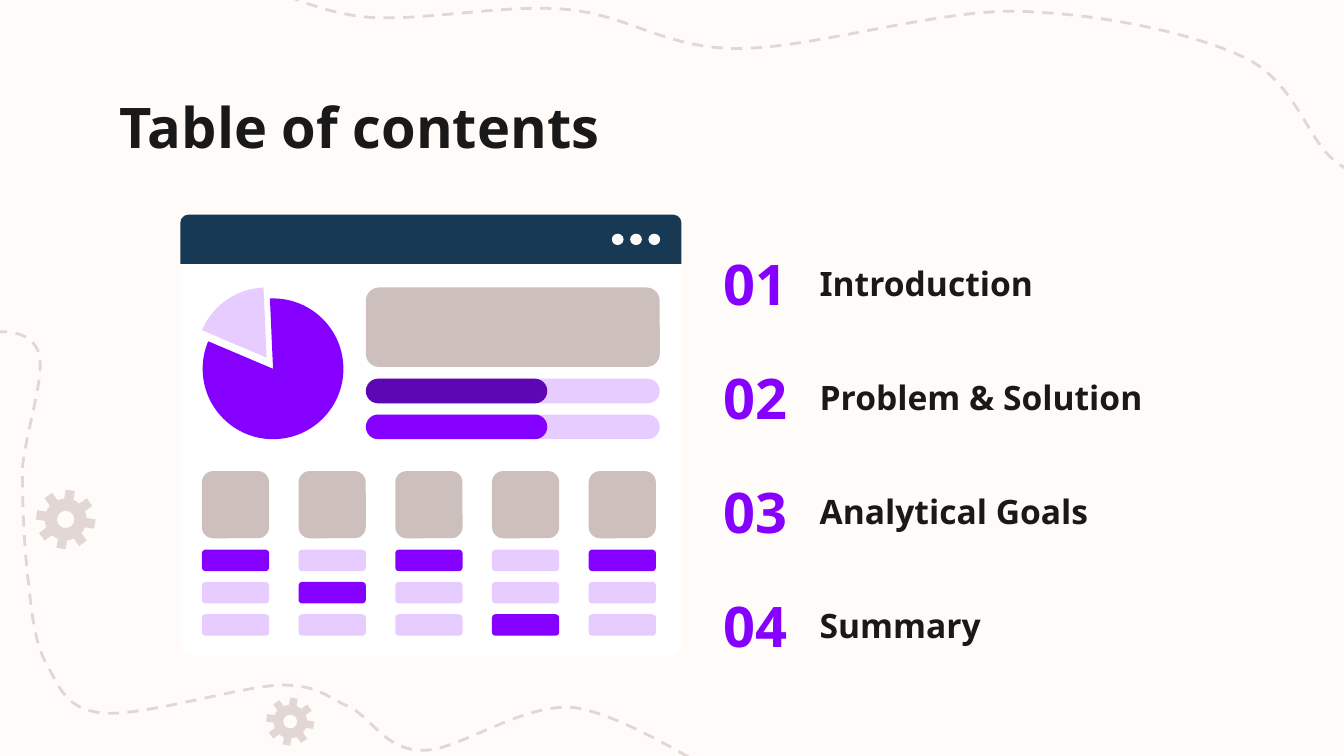
from math import ceil, cos, floor, radians, sin, tan

from lxml import etree
from pptx import Presentation
from pptx.dml.color import RGBColor
from pptx.enum.dml import MSO_LINE
from pptx.enum.shapes import MSO_SHAPE
from pptx.enum.text import MSO_ANCHOR, MSO_AUTO_SIZE, PP_ALIGN
from pptx.oxml.ns import qn
from pptx.util import Pt

ROUNDED = MSO_SHAPE.ROUNDED_RECTANGLE
ROUNDED_PAIR = MSO_SHAPE.ROUND_2_SAME_RECTANGLE
OVAL = MSO_SHAPE.OVAL
DASH = MSO_LINE.DASH
TOP, MIDDLE = MSO_ANCHOR.TOP, MSO_ANCHOR.MIDDLE
LEFT, CENTER = PP_ALIGN.LEFT, PP_ALIGN.CENTER
NO_AUTOFIT = MSO_AUTO_SIZE.NONE

FONT = "Noto Sans"
CREAM, WHITE, INK, NAVY = "FFFBF9", "FFFFFF", "191919", "173953"
PURPLE, DARK_PURPLE = "8500FF", "5D06B4"
TAUPE, PALE_TAUPE = "CDBFBC", "E3D7D5"
TINT = 20

CONTENTS = ["Introduction", "Problem & Solution", "Analytical Goals", "Summary"]
# Highlighted columns in each row of small bars
HIGHLIGHTS = [{0, 2, 4}, {1}, {3}]

# Start point, then two control points and an end point for each curve
LOWER_TRAIL = [
    (-38, 228), (-37, 226), (-38, 229), (-35, 221), (-30, 213), (-16, 184), (-6, 179),
    (3, 176), (18, 178), (21, 190), (24, 202), (14, 231), (12, 251),
    (12, 271), (13, 292), (15, 310), (17, 327), (18, 343), (25, 356),
    (32, 368), (35, 380), (55, 382), (76, 384), (128, 368), (150, 367),
    (172, 367), (175, 374), (188, 379), (201, 387), (207, 402), (227, 402),
    (246, 402), (279, 377), (307, 379), (336, 383), (381, 414), (395, 420),
]
UPPER_TRAIL = [
    (135, -10), (145, -7), (167, 6), (195, 9), (223, 12), (270, 2), (303, 5),
    (337, 8), (356, 26), (395, 26), (435, 26), (498, 6), (543, 6),
    (588, 7), (636, 17), (665, 30), (694, 43), (700, 75), (715, 86),
    (730, 99), (750, 99), (757, 102),
]


def color(value):
    return RGBColor.from_string(value)


def paint(shape, fill, opacity=100):
    """Give a shape a flat fill, without line or shadow."""
    shape.shadow.inherit = False
    shape.line.fill.background()
    shape.fill.solid()
    shape.fill.fore_color.rgb = color(fill)
    if opacity < 100:
        fill_color = shape.fill._xPr.find(qn("a:solidFill"))[0]
        etree.SubElement(fill_color, qn("a:alpha"), val=str(opacity * 1000))


def add_block(slide, kind, box, fill, opacity=100, adjustments=()):
    shape = slide.shapes.add_shape(kind, *map(Pt, box))
    for index, value in enumerate(adjustments):
        shape.adjustments[index] = value
    paint(shape, fill, opacity)


def add_outline(slide, contours, close=True):
    """Build a freeform; a segment of one point is a line, of three a curve."""
    builder = None
    for start, segments in contours:
        if builder is None:
            builder = slide.shapes.build_freeform(*map(Pt, start))
        else:
            builder.move_to(*map(Pt, start))
        points = [tuple(map(Pt, point)) for segment in segments for point in segment]
        builder.add_line_segments(points, close=close)
    shape = builder.convert_to_shape()

    outline = next(shape.element.iter(qn("a:path")))
    lines = iter(outline.findall(qn("a:lnTo")))
    for _, segments in contours:
        for segment in segments:
            parts = [next(lines) for _ in segment]
            if len(parts) == 3:
                curve = outline.makeelement(qn("a:cubicBezTo"))
                parts[0].addprevious(curve)
                for part in parts:
                    curve.append(part[0])
                    outline.remove(part)
    return shape


def arc(x, y, radius, start, end):
    """Return the first point and the curves of an arc, split at the axes."""
    def polar(angle, along=0):
        turn = radians(angle)
        return (x + radius * (cos(turn) - along * sin(turn)),
                y + radius * (sin(turn) + along * cos(turn)))

    axes = [90 * k for k in range(ceil(start / 90), floor(end / 90) + 1)]
    stops = sorted({start, *axes, end})
    curves = []
    for a, b in zip(stops, stops[1:]):
        reach = 4 / 3 * tan(radians(b - a) / 4)
        curves.append([polar(a, reach), polar(b, -reach), polar(b)])
    return polar(start), curves


def add_trail(slide, nodes):
    curves = [nodes[index:index + 3] for index in range(1, len(nodes), 3)]
    trail = add_outline(slide, [(nodes[0], curves)], close=False)
    trail.shadow.inherit = False
    trail.fill.background()
    trail.line.color.rgb = color(PALE_TAUPE)
    trail.line.width = Pt(1.5)
    trail.line.dash_style = DASH


def add_gear(slide, x, y, radius, teeth=8, tilt=9):
    pitch = 360 / teeth
    rim = []
    for tooth in range(teeth):
        angle = tooth * pitch + tilt
        for tip in (angle - 9, angle + 9):
            rim.append([arc(x, y, radius, tip, tip)[0]])
        root, curves = arc(x, y, radius * 0.7, angle + 13, angle + pitch - 13)
        rim += [[root], *curves]
    hole = arc(x, y, radius * 0.29, 0, 360)
    paint(add_outline(slide, [(rim[0][0], rim[1:]), hole]), PALE_TAUPE)


def add_wedge(slide, x, y, radius, start, end, opacity=100):
    first, curves = arc(x, y, radius, start, end)
    wedge = add_outline(slide, [((x, y), [[first], *curves])])
    paint(wedge, PURPLE, opacity)


def write(shape, text, size, fill, alignment=LEFT, anchor=TOP):
    frame = shape.text_frame
    frame.word_wrap = True
    frame.auto_size = NO_AUTOFIT
    frame.vertical_anchor = anchor
    frame.margin_left = frame.margin_right = Pt(7.2)
    frame.margin_top = frame.margin_bottom = Pt(7.2)
    paragraph = frame.paragraphs[0]
    paragraph.alignment = alignment
    run = paragraph.add_run()
    run.text = text
    run.font.name = FONT
    run.font.size = Pt(size)
    run.font.bold = True
    run.font.color.rgb = color(fill)


def add_title(slide, box, text):
    title = slide.shapes.title
    title.left, title.top, title.width, title.height = map(Pt, box)
    write(title, text, 30, INK)


def add_contents(slide, left, top, width, pitch):
    number_width, height = 54.7, 36
    for index, name in enumerate(CONTENTS):
        y = top + index * pitch
        number = slide.shapes.add_textbox(Pt(left), Pt(y), Pt(number_width), Pt(height))
        write(number, f"{index + 1:02}", 30, PURPLE, CENTER, MIDDLE)
        label = slide.shapes.add_textbox(
            Pt(left + number_width), Pt(y), Pt(width - number_width), Pt(height))
        write(label, name, 18, INK)


def add_dashboard(slide, left, top, width, height):
    """Draw a browser window with a pie, progress bars and a grid."""
    header = 26.6
    add_block(slide, ROUNDED_PAIR, (left, top, width, header), NAVY, adjustments=(0.167, 0))
    add_block(slide, ROUNDED_PAIR, (left, top + header, width, height - header), WHITE,
              adjustments=(0, 0.038))
    add_wedge(slide, left + 49.7, top + 82.6, 37.7, -92.5, 203)
    add_wedge(slide, left + 46.2, top + 76.6, 37.6, 203, 267.5, TINT)

    panel_left, panel_width = left + 99.4, 157.5
    add_block(slide, ROUNDED, (panel_left, top + 39, panel_width, 42.6), TAUPE,
              adjustments=(0.167,))
    for index, fill in enumerate([DARK_PURPLE, PURPLE]):
        y = top + 87.9 + index * 19.2
        add_block(slide, ROUNDED, (panel_left, y, panel_width, 13.2), PURPLE, TINT, (0.5,))
        add_block(slide, ROUNDED, (panel_left, y, 97.2, 13.2), fill, adjustments=(0.5,))

    for column in range(5):
        x = left + 11.6 + column * 51.8
        add_block(slide, ROUNDED, (x, top + 137.4, 36, 36), TAUPE, adjustments=(0.167,))
        for row, highlighted in enumerate(HIGHLIGHTS):
            opacity = 100 if column in highlighted else TINT
            add_block(slide, ROUNDED, (x, top + 179.5 + row * 17.3, 36, 11.5), PURPLE,
                      opacity, (0.167,))
    for index in range(3):
        add_block(slide, OVAL, (left + 231.2 + index * 9.8, top + 10.2, 6.3, 6.1), CREAM)


def main():
    presentation = Presentation()
    presentation.slide_width, presentation.slide_height = Pt(720), Pt(405)
    slide = presentation.slides.add_slide(presentation.slide_layouts[5])
    slide.background.fill.solid()
    slide.background.fill.fore_color.rgb = color(CREAM)
    add_trail(slide, LOWER_TRAIL)
    add_gear(slide, 155.5, 386.6, 12.9)
    add_gear(slide, 35.2, 278.3, 16)
    add_trail(slide, UPPER_TRAIL)
    add_title(slide, (57, 42.5, 607, 45.4), "Table of contents")
    add_contents(slide, 377.3, 133.7, 246.2, 61)
    add_dashboard(slide, 96.6, 115, 268.5, 237)
    presentation.save("out.pptx")


if __name__ == "__main__":
    main()
